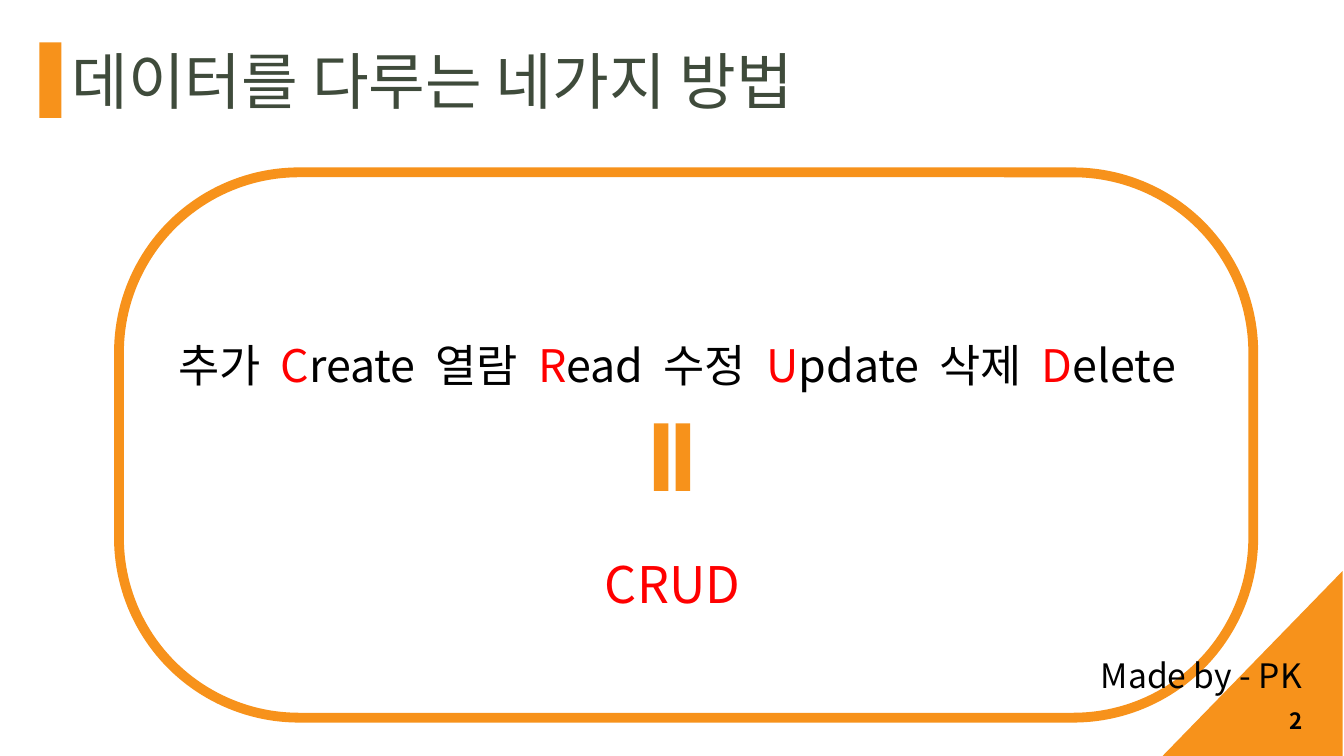
from lxml import etree
from pptx import Presentation
from pptx.dml.color import RGBColor
from pptx.enum.shapes import MSO_SHAPE
from pptx.enum.text import MSO_ANCHOR, MSO_AUTO_SIZE, PP_ALIGN
from pptx.oxml.ns import qn
from pptx.util import Inches, Pt

LEFT, CENTER, RIGHT = PP_ALIGN.LEFT, PP_ALIGN.CENTER, PP_ALIGN.RIGHT
TOP, MIDDLE = MSO_ANCHOR.TOP, MSO_ANCHOR.MIDDLE
NO_FIT = MSO_AUTO_SIZE.NONE
RECTANGLE = MSO_SHAPE.RECTANGLE
ROUNDED = MSO_SHAPE.ROUNDED_RECTANGLE
TRIANGLE = MSO_SHAPE.ISOSCELES_TRIANGLE
EQUAL_SIGN = MSO_SHAPE.MATH_EQUAL

FONT = "Noto Sans CJK KR"
COLORS = {"orange": "F7921B", "red": "FF0000", "black": "000000", "title": "3F4B3B"}
TITLE_ONLY = 5
WORD_GAP = 7  # extra points after each space in the operations line
OPERATIONS = [("추가", "Create"), ("열람", "Read"), ("수정", "Update"), ("삭제", "Delete")]


def color(name):
    """Return the named colour."""
    return RGBColor.from_string(COLORS[name])


def add_span(para, text, size, ink, bold=False, spacing=0):
    """Add one run, with the font set for Latin and Korean letters."""
    span = para.add_run()
    span.text = text
    span.font.name = FONT
    span.font.size = Pt(size)
    span.font.bold = bold
    span.font.color.rgb = color(ink)
    properties = span._r.get_or_add_rPr()
    etree.SubElement(properties, qn("a:ea")).set("typeface", FONT)
    if spacing:
        properties.set("spc", str(spacing * 100))


def place(box, left, top, width, height):
    """Move and size a box, in inches."""
    box.left, box.top = Inches(left), Inches(top)
    box.width, box.height = Inches(width), Inches(height)


def format_text(box, align, anchor=TOP):
    """Set up the text frame and return its first paragraph."""
    frame = box.text_frame
    frame.word_wrap = True
    frame.auto_size = NO_FIT
    frame.vertical_anchor = anchor
    para = frame.paragraphs[0]
    para.alignment = align
    para.line_spacing = 1.0
    return para


def add_text(page, area, align, anchor=TOP):
    """Add a text box and return its first paragraph."""
    box = page.shapes.add_textbox(*map(Inches, area))
    return format_text(box, align, anchor)


def add_solid(page, kind, area, rotation=0):
    """Add a borderless orange shape."""
    shape = page.shapes.add_shape(kind, *map(Inches, area))
    shape.shadow.inherit = False
    shape.fill.solid()
    shape.fill.fore_color.rgb = color("orange")
    shape.line.fill.background()
    shape.rotation = rotation
    return shape


def add_frame(page, area):
    """Add the rounded orange outline."""
    shape = page.shapes.add_shape(ROUNDED, *map(Inches, area))
    shape.shadow.inherit = False
    shape.adjustments[0] = 0.33
    shape.fill.background()
    shape.line.color.rgb = color("orange")
    shape.line.width = Pt(7)


def add_operations(page):
    """Add the line of operations with red initials."""
    para = add_text(page, (1.28, 3.3, 10.87, 0.64), CENTER)
    for index, (korean, english) in enumerate(OPERATIONS):
        if index:
            add_span(para, " ", 32, "black", spacing=WORD_GAP)
        add_span(para, korean, 32, "black")
        add_span(para, " ", 32, "black", spacing=WORD_GAP)
        add_span(para, english[0], 32, "red")
        add_span(para, english[1:], 32, "black")


def main():
    """Build the slide and save it."""
    deck = Presentation()
    deck.slide_width, deck.slide_height = Inches(13.33), Inches(7.5)
    page = deck.slides.add_slide(deck.slide_layouts[TITLE_ONLY])

    add_span(add_text(page, (2.81, 5.44, 7.72, 0.71), CENTER), "CRUD", 36, "red")
    add_operations(page)
    corner = add_solid(page, TRIANGLE, (11.5, 5.69, 1.84, 1.79), 270)
    corner.adjustments[0] = 0
    number = add_text(page, (10.02, 6.95, 3, 0.4), RIGHT, MIDDLE)
    add_span(number, "2", 16, "black", bold=True)
    add_frame(page, (1.18, 1.71, 11.25, 5.41))

    title = page.shapes.title
    place(title, 0.61, 0.38, 8.23, 0.84)
    add_span(format_text(title, LEFT), "데이터를 다루는 네가지 방법", 44, "title")

    add_solid(page, EQUAL_SIGN, (6.21, 4.23, 0.91, 0.61), 90)
    add_span(add_text(page, (10.82, 6.45, 2.4, 0.5), LEFT), "Made by - PK", 24, "black")
    add_solid(page, RECTANGLE, (0.39, 0.42, 0.22, 0.75))

    deck.save("out.pptx")


main()
